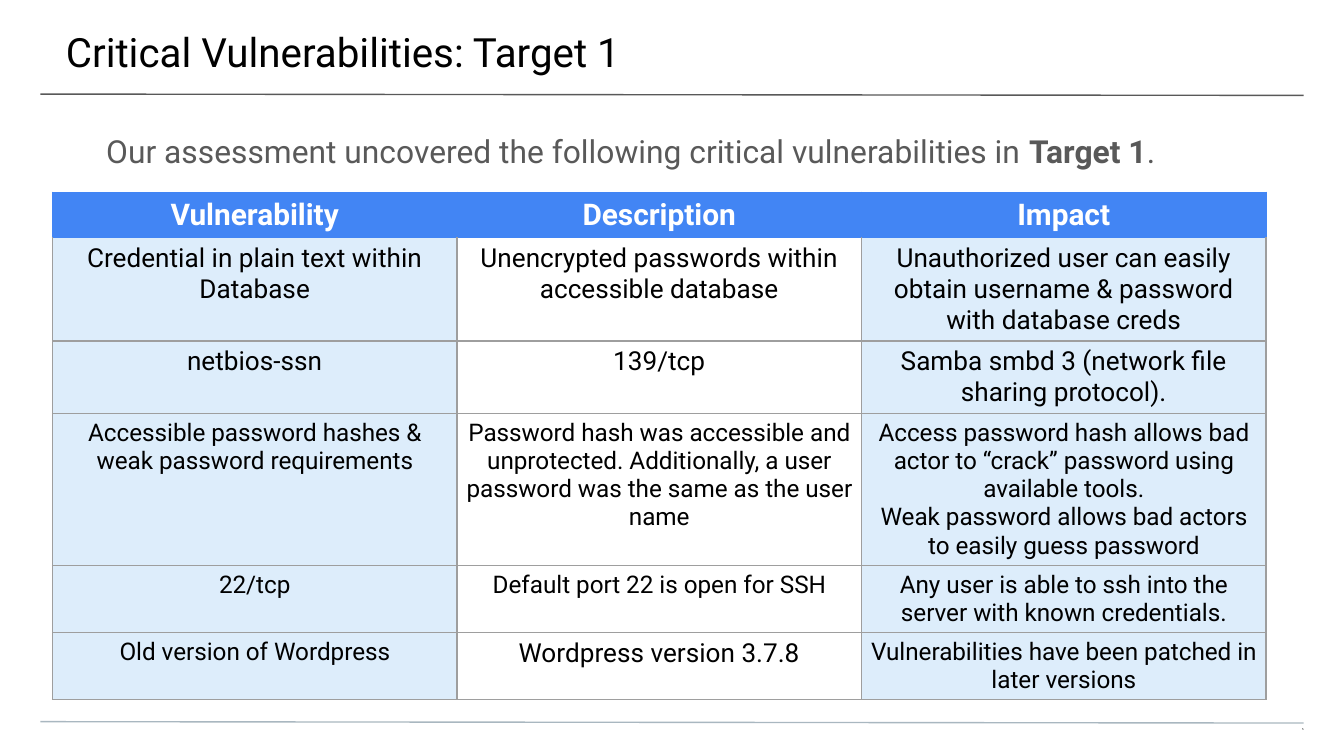
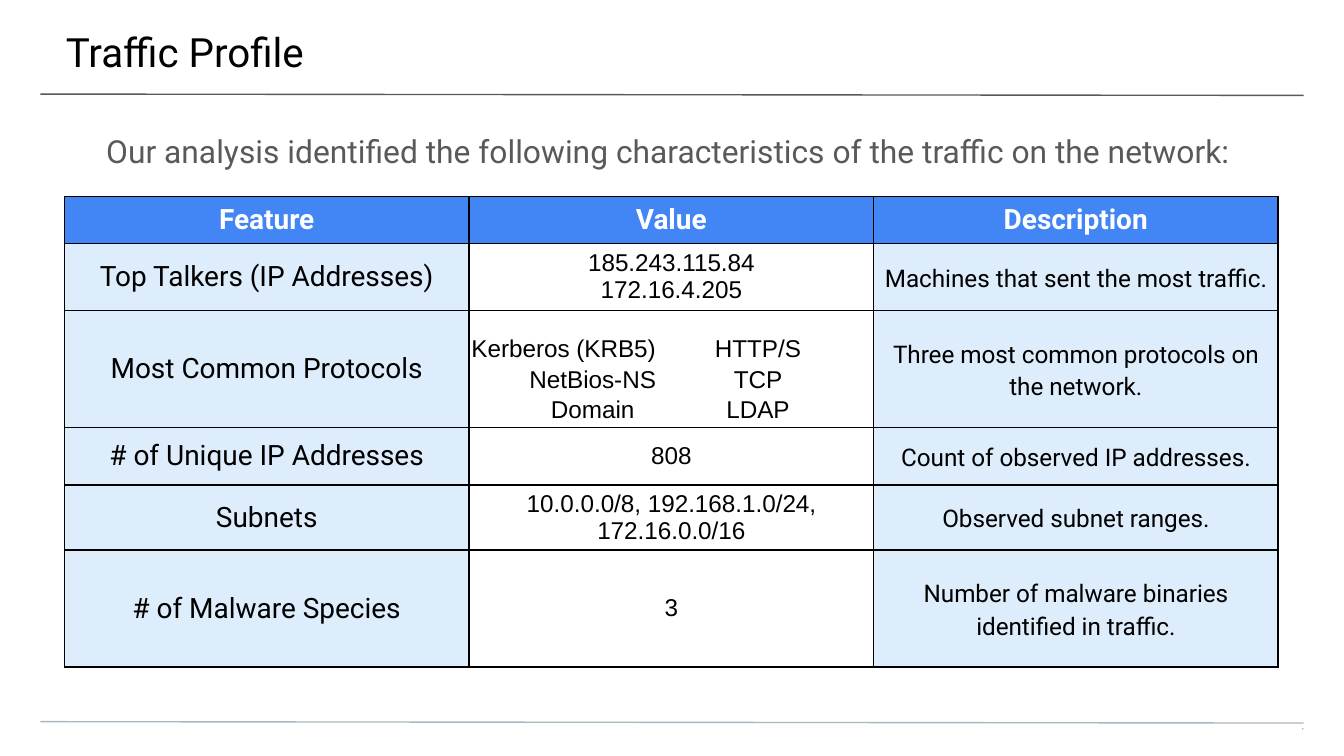
from dataclasses import dataclass

from lxml.etree import SubElement
from pptx import Presentation
from pptx.dml.color import RGBColor
from pptx.enum.shapes import MSO_CONNECTOR
from pptx.enum.text import MSO_ANCHOR, MSO_AUTO_SIZE, PP_ALIGN
from pptx.oxml.ns import qn
from pptx.util import Emu, Pt

BLACK = RGBColor(0x00, 0x00, 0x00)
WHITE = RGBColor(0xFF, 0xFF, 0xFF)
GREY = RGBColor(0x59, 0x59, 0x59)
FOOTER_GREY = RGBColor(0xA9, 0xB7, 0xC0)
GRID_GREY = RGBColor(0x9E, 0x9E, 0x9E)
HEADER_BLUE = RGBColor(0x42, 0x85, 0xF4)
TINT_BLUE = RGBColor(0x1D, 0x8B, 0xE6)
TINT_ALPHA = 15000
LINE_WIDTH = Pt(0.75)
PX_PER_INCH = 200


def px(length):
    return Emu(length * 914400 // PX_PER_INCH)


@dataclass(frozen=True)
class TextStyle:
    size: float
    name: str = "Roboto"
    color: RGBColor = BLACK
    bold: bool = False
    align: PP_ALIGN = PP_ALIGN.CENTER
    spacing: float = 1.0
    after: int = 0


TITLE = TextStyle(21.6, align=PP_ALIGN.LEFT)
LEAD = TextStyle(17, color=GREY, align=PP_ALIGN.LEFT, spacing=1.15)
PAGE_NUMBER = TextStyle(1.5, "Arial", align=PP_ALIGN.RIGHT, spacing=0.8)
LARGE = TextStyle(14)
SMALL = TextStyle(13)
FEATURE = TextStyle(15)
VALUE = TextStyle(13, "Arial")
DESCRIPTION = TextStyle(13, spacing=1.15, after=4)
PROTOCOL = TextStyle(13, "Arial", spacing=1.05)


class ReportDeck:
    """Builds report pages that share a title, two rules and tinted tables."""

    def __init__(self):
        self.deck = Presentation()
        self.deck.slide_width, self.deck.slide_height = px(2000), px(1125)
        self.page = None

    def add_page(self, title, number):
        self.page = self.deck.slides.add_slide(self.deck.slide_layouts[5])
        self.rule(140, GREY)
        self.rule(1074, FOOTER_GREY)
        box = self.page.shapes.title
        box.left, box.top, box.width, box.height = px(-2), px(0), px(2006), px(116)
        self.fill_box(box, [title], TITLE, (100, 40, 60, 20))
        self.text([str(number)], (1882, 1084, 58, 24), PAGE_NUMBER, (0, 0, 0, 20))

    def rule(self, top, color):
        line = self.page.shapes.add_connector(
            MSO_CONNECTOR.STRAIGHT, px(60), px(top), px(1940), px(top + 2))
        line.line.color.rgb = color
        line.line.width = LINE_WIDTH
        SubElement(line._element.spPr, qn("a:effectLst"))

    def style_paragraph(self, para, style):
        para.alignment = style.align
        para.line_spacing = style.spacing
        para.space_after = Pt(style.after)
        para.font.size = Pt(style.size)
        para.font.name = style.name
        para.font.bold = style.bold
        para.font.color.rgb = style.color

    def set_lines(self, frame, lines, style):
        for index, line in enumerate(lines):
            para = frame.add_paragraph() if index else frame.paragraphs[0]
            para.text = line
            self.style_paragraph(para, style)

    def fill_box(self, box, lines, style, margins):
        frame = box.text_frame
        frame.word_wrap = True
        frame.auto_size = MSO_AUTO_SIZE.NONE
        frame.vertical_anchor = MSO_ANCHOR.TOP
        (frame.margin_left, frame.margin_top,
         frame.margin_right, frame.margin_bottom) = map(px, margins)
        self.set_lines(frame, lines, style)

    def text(self, lines, place, style, margins=(20, 20, 20, 20)):
        box = self.page.shapes.add_textbox(*map(px, place))
        self.fill_box(box, lines, style, margins)
        return box.text_frame

    def lead(self, sentence, strong="", ending=""):
        frame = self.text([sentence], (58, 188, 1882, 810), LEAD, (100, 0, 100, 200))
        for words, bold in ((strong, True), (ending, False)):
            if words:
                span = frame.paragraphs[0].add_run()
                span.text = words
                span.font.bold = bold

    def border(self, cell, side, color):
        line = SubElement(cell._tc.get_or_add_tcPr(), qn(f"a:ln{side}"), w=str(LINE_WIDTH))
        fill = SubElement(line, qn("a:solidFill"))
        SubElement(fill, qn("a:srgbClr"), val=str(color))

    def cell(self, cell, words, style, anchor, edges):
        cell.margin_left = cell.margin_right = px(8)
        cell.margin_top = cell.margin_bottom = px(8)
        cell.vertical_anchor = anchor
        for side, color in edges.items():
            self.border(cell, side, color)
        self.set_lines(cell.text_frame, words.split("\n"), style)

    def tint(self, cell):
        cell.fill.solid()
        cell.fill.fore_color.rgb = TINT_BLUE
        color = cell._tc.tcPr.find(qn("a:solidFill")).find(qn("a:srgbClr"))
        SubElement(color, qn("a:alpha"), val=str(TINT_ALPHA))

    def table(self, left, top, heights, rows, styles, anchor, header_line, grid_line):
        columns = len(rows[0])
        table = self.page.shapes.add_table(
            len(rows), columns, px(left), px(top), px(602 * columns), px(sum(heights))).table
        table.first_row = table.horz_banding = False
        for column in table.columns:
            column.width = px(602)
        for row, height in enumerate(heights):
            table.rows[row].height = px(height)
            side = grid_line if row else header_line
            above = grid_line if row > 1 else header_line
            edges = {"L": side, "R": side, "T": above, "B": side}
            for column in range(columns):
                cell = table.cell(row, column)
                self.cell(cell, rows[row][column], styles[row][column], anchor, edges)
                if row == 0:
                    cell.fill.solid()
                    cell.fill.fore_color.rgb = HEADER_BLUE
                elif column == 1:
                    cell.fill.background()
                else:
                    self.tint(cell)


def header_styles(size):
    return [TextStyle(size, color=WHITE, bold=True)] * 3


def add_vulnerabilities(report):
    report.add_page("Critical Vulnerabilities: Target 1", 5)
    report.lead("Our assessment uncovered the following critical vulnerabilities in ",
                "Target 1", ".")
    rows = [
        ("Vulnerability", "Description", "Impact"),
        ("Credential in plain text within Database",
         "Unencrypted passwords within accessible database",
         "Unauthorized user can easily obtain username & password with database creds"),
        ("netbios-ssn", "139/tcp", "Samba smbd 3 (network file sharing protocol)."),
        ("Accessible password hashes & weak password requirements",
         "Password hash was accessible and unprotected. Additionally, a user password "
         "was the same as the user name",
         "Access password hash allows bad actor to “crack” password using available tools.\n"
         "Weak password allows bad actors to easily guess password"),
        ("22/tcp", "Default port 22 is open for SSH",
         "Any user is able to ssh into the server with known credentials."),
        ("Old version of Wordpress", "Wordpress version 3.7.8",
         "Vulnerabilities have been patched in later versions"),
    ]
    styles = [header_styles(16), *[[LARGE] * 3] * 2, *[[SMALL] * 3] * 2,
              [SMALL, LARGE, SMALL]]
    report.table(78, 286, (66, 152, 106, 224, 100, 98), rows, styles,
                 MSO_ANCHOR.TOP, HEADER_BLUE, GRID_GREY)


def add_traffic_profile(report):
    report.add_page("Traffic Profile", 7)
    report.lead("Our analysis identified the following characteristics of the traffic "
                "on the network:")
    rows = [
        ("Feature", "Value", "Description"),
        ("Top Talkers (IP Addresses)", "185.243.115.84\n172.16.4.205",
         "Machines that sent the most traffic."),
        ("Most Common Protocols", "", "Three most common protocols on the network."),
        ("# of Unique IP Addresses", "808", "Count of observed IP addresses."),
        ("Subnets", "10.0.0.0/8, 192.168.1.0/24,\n172.16.0.0/16", "Observed subnet ranges."),
        ("# of Malware Species", "3", "Number of malware binaries identified in traffic."),
    ]
    styles = [header_styles(15), *[[FEATURE, VALUE, DESCRIPTION]] * 5]
    report.table(96, 292, (70, 100, 174, 86, 96, 174), rows, styles,
                 MSO_ANCHOR.MIDDLE, BLACK, BLACK)
    protocols = report.text(["Kerberos (KRB5)", "NetBios-NS", "Domain"],
                            (682, 474, 400, 172), PROTOCOL)
    protocols.paragraphs[0].alignment = PP_ALIGN.LEFT
    report.text(["HTTP/S", "TCP", "LDAP"], (928, 474, 400, 172), PROTOCOL)


def main():
    report = ReportDeck()
    add_vulnerabilities(report)
    add_traffic_profile(report)
    report.deck.save("out.pptx")


if __name__ == "__main__":
    main()
